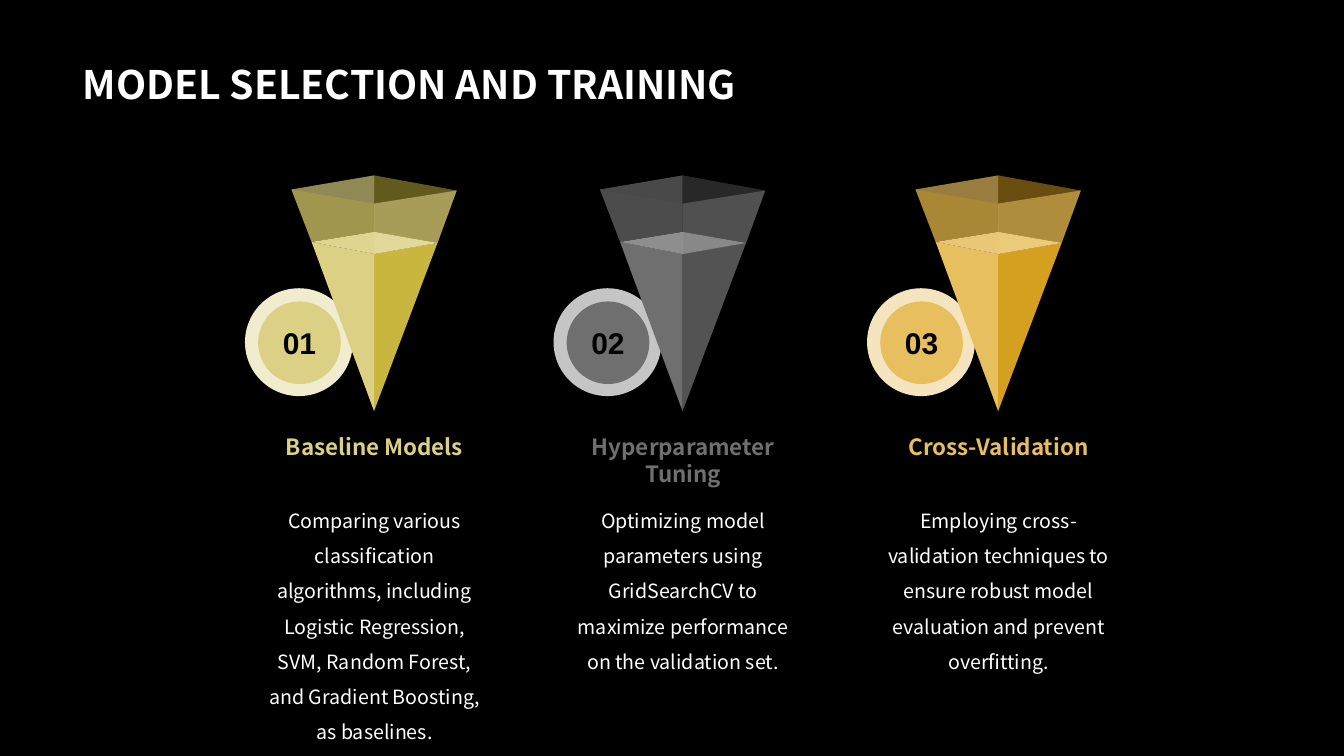
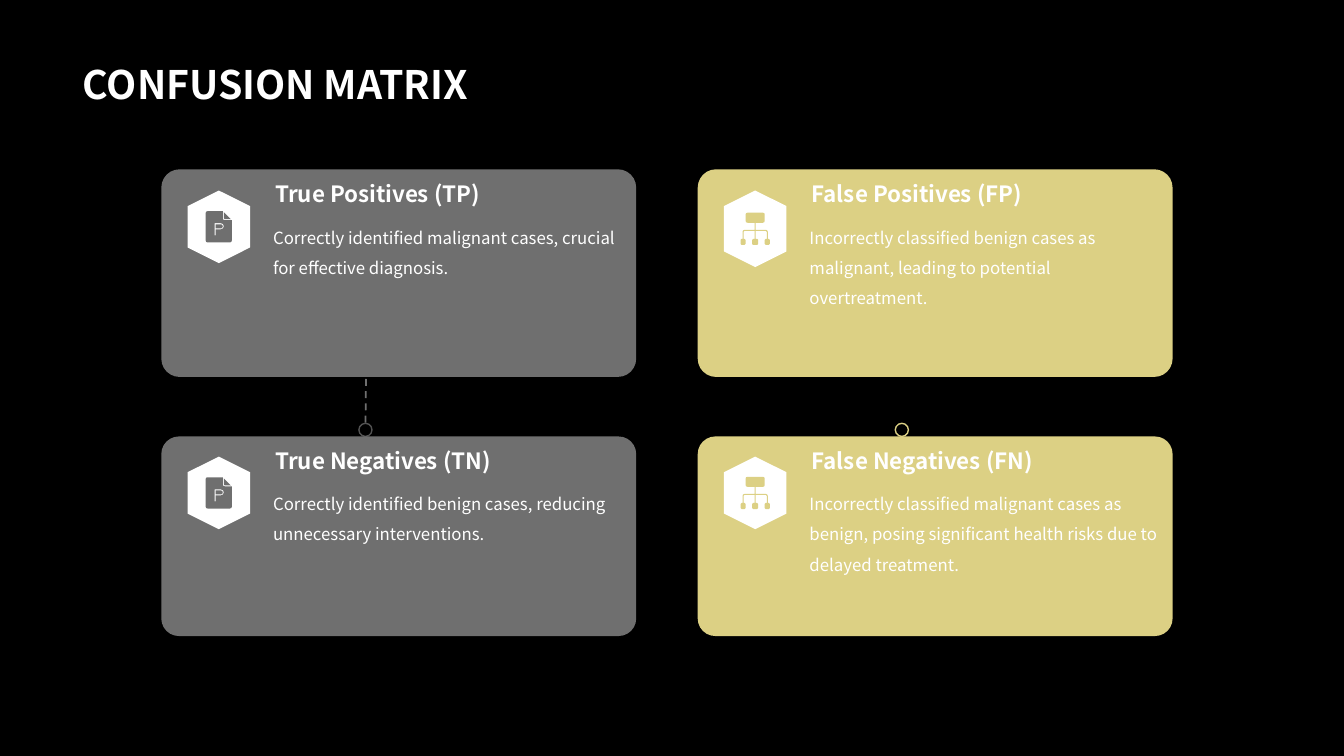
from dataclasses import dataclass

from lxml import etree
from pptx import Presentation
from pptx.dml.color import RGBColor
from pptx.enum.dml import MSO_LINE
from pptx.enum.shapes import MSO_CONNECTOR, MSO_SHAPE
from pptx.enum.text import MSO_ANCHOR, MSO_AUTO_SIZE, PP_ALIGN
from pptx.oxml.ns import qn
from pptx.util import Inches, Pt

ELLIPSE, HEXAGON, ROUNDED = MSO_SHAPE.OVAL, MSO_SHAPE.HEXAGON, MSO_SHAPE.ROUNDED_RECTANGLE
STRAIGHT, DASH = MSO_CONNECTOR.STRAIGHT, MSO_LINE.DASH
LEFT, CENTER = PP_ALIGN.LEFT, PP_ALIGN.CENTER
TOP, MIDDLE, BOTTOM = MSO_ANCHOR.TOP, MSO_ANCHOR.MIDDLE, MSO_ANCHOR.BOTTOM
NO_FIT, GROW = MSO_AUTO_SIZE.NONE, MSO_AUTO_SIZE.SHAPE_TO_FIT_TEXT
TITLE_ONLY = 5


@dataclass(frozen=True)
class Theme:
    font: str = "Noto Sans CJK SC"
    number_font: str = "Arial"
    black: str = "000000"
    white: str = "FFFFFF"
    sand: str = "DCD084"
    gray: str = "6F6F6F"
    ring_gray: str = "525252"
    title_size: float = 28
    number_size: float = 21.4
    heading_size: float = 16
    body_size: float = 14
    card_body_size: float = 12


THEME = Theme()

# Tones of each pyramid: light face, dark face, surface, badge ring
SAND_TONES = {"light": THEME.sand, "dark": "C9B63F", "surface": "EAE3B5", "ring": "F1ECCE"}
GRAY_TONES = {"light": THEME.gray, "dark": "535353", "surface": "A9A9A9", "ring": "C5C5C5"}
GOLD_TONES = {"light": "E7BF5F", "dark": "D59F20", "surface": "F1D99F", "ring": "F5E5BF"}

# Pyramid corners: x from the axis, y on the slide
TIP = (0, 4.08)
FILL_LEFT, FILL_RIGHT, FILL_BACK, FILL_FRONT = (-0.62, 2.4), (0.63, 2.41), (0, 2.3), (0, 2.52)
RIM_LEFT, RIM_RIGHT, RIM_BACK, RIM_FRONT = (-0.82, 1.88), (0.82, 1.89), (0, 1.74), (0, 2.02)
PYRAMID_FACES = [
    ("dark", 100, [FILL_RIGHT, TIP, FILL_FRONT]),
    ("light", 100, [TIP, FILL_LEFT, FILL_FRONT]),
    ("surface", 100, [FILL_RIGHT, FILL_FRONT, FILL_LEFT, FILL_BACK]),
    ("light", 66, [FILL_LEFT, RIM_LEFT, RIM_BACK, FILL_BACK]),
    ("dark", 49, [RIM_RIGHT, FILL_RIGHT, FILL_BACK, RIM_BACK]),
    ("light", 57, [RIM_RIGHT, FILL_RIGHT, FILL_FRONT, RIM_FRONT]),
    ("dark", 31, [FILL_FRONT, FILL_LEFT, RIM_LEFT, RIM_FRONT]),
]

# Steps: axis, badge left, tones, number, heading, body
STEPS = [
    (3.71, 2.43, SAND_TONES, "01", "Baseline Models",
     "Comparing various classification algorithms, including Logistic Regression, "
     "SVM, Random Forest, and Gradient Boosting, as baselines."),
    (6.77, 5.49, GRAY_TONES, "02", "Hyperparameter Tuning",
     "Optimizing model parameters using GridSearchCV to maximize performance "
     "on the validation set."),
    (9.9, 8.6, GOLD_TONES, "03", "Cross-Validation",
     "Employing cross-validation techniques to ensure robust model evaluation "
     "and prevent overfitting."),
]

# Icons: outlines in hundredths of an inch, with their size
DOCUMENT_ICON = (26, 31, [
    [(2, 0), (17, 0), (17, 7), (17.3, 8.3), (19, 9), (26, 9), (26, 29), (25.5, 30.5),
     (24, 31), (2, 31), (0.5, 30.5), (0, 29), (0, 2), (0.5, 0.5)],
    [(15, 12), (9, 12), (9, 24), (10, 24), (10, 18), (15, 18), (17.3, 17), (18, 15), (17.3, 12.8)],
    [(15, 13), (16.5, 13.6), (17, 15), (16.5, 16.4), (15, 17), (10, 17), (10, 13)],
    [(25, 8), (19, 8), (18, 7), (18, 1)],
])
TREE_HALF = [
    (22, 0), (23.5, 0.5), (24, 2), (24, 8), (23.5, 9.5), (22, 10), (15, 10), (15, 17),
    (25, 17), (26.5, 17.6), (27, 19), (27, 26), (28, 26), (29, 27), (29, 31), (28, 32),
    (25, 32), (24, 31), (24, 27), (25, 26), (26, 26), (26, 19), (25, 18), (15, 18),
    (15, 26), (16.5, 26), (17.5, 27), (17.5, 31), (16.5, 32),
]
TREE_ICON = (29, 32, [TREE_HALF + [(29 - x, y) for x, y in reversed(TREE_HALF)]])

# Cards: left, top, height, heading top, hexagon length, colour, icon, heading, body
GRAY_LEFT, SAND_LEFT, CARD_WIDTH = 1.6, 6.92, 4.71
UPPER_ROW, LOWER_ROW = (1.68, 2.06, 1.79), (4.33, 1.98, 4.43)
CARDS = [
    (GRAY_LEFT, *UPPER_ROW, 0.72, THEME.gray, DOCUMENT_ICON, "True Positives (TP)",
     "Correctly identified malignant cases, crucial for effective diagnosis."),
    (SAND_LEFT, *UPPER_ROW, 0.76, THEME.sand, TREE_ICON, "False Positives (FP)",
     "Incorrectly classified benign cases as malignant, leading to potential overtreatment."),
    (GRAY_LEFT, *LOWER_ROW, 0.72, THEME.gray, DOCUMENT_ICON, "True Negatives (TN)",
     "Correctly identified benign cases, reducing unnecessary interventions."),
    (SAND_LEFT, *LOWER_ROW, 0.72, THEME.sand, TREE_ICON, "False Negatives (FN)",
     "Incorrectly classified malignant cases as benign, posing significant health risks "
     "due to delayed treatment."),
]


def set_values(target, values):
    for name, value in values.items():
        setattr(target, name, value)


def write(shape, text, size, color, bold=False, font=THEME.font, align=LEFT, spacing=None, **frame):
    text_frame = shape.text_frame
    text_frame.text = text
    set_values(text_frame, {"word_wrap": True, "vertical_anchor": TOP, **frame})
    paragraph = text_frame.paragraphs[0]
    set_values(paragraph, {"alignment": align, "line_spacing": spacing})
    set_values(paragraph.font, {"name": font, "size": Pt(size), "bold": bold})
    paragraph.font.color.rgb = RGBColor.from_string(color)


def paint(shape, fill=None, alpha=100, line=None):
    shape.shadow.inherit = False
    if fill:
        shape.fill.solid()
        shape.fill.fore_color.rgb = RGBColor.from_string(fill)
    else:
        shape.fill.background()
    if alpha < 100:
        color = shape.fill._xPr.find(".//" + qn("a:srgbClr"))
        etree.SubElement(color, qn("a:alpha")).set("val", str(alpha * 1000))
    if line:
        shape.line.color.rgb = RGBColor.from_string(line)
        shape.line.width = Pt(1)
    else:
        shape.line.fill.background()
    return shape


def add_preset(slide, kind, left, top, width, height, **look):
    shape = slide.shapes.add_shape(kind, Inches(left), Inches(top), Inches(width), Inches(height))
    return paint(shape, **look)


def add_outline(slide, contours, **look):
    builder = None
    for contour in contours:
        start, *rest = [(Inches(x), Inches(y)) for x, y in contour]
        if builder is None:
            builder = slide.shapes.build_freeform(*start, scale=1.0)
        else:
            builder.move_to(*start)
        builder.add_line_segments(rest, close=True)
    return paint(builder.convert_to_shape(), **look)


def add_text(slide, left, top, width, height, text, size, color, **style):
    box = slide.shapes.add_textbox(Inches(left), Inches(top), Inches(width), Inches(height))
    write(box, text, size, color, auto_size=GROW, **style)


def add_dashed_line(slide, x, top, ring, color):
    line = slide.shapes.add_connector(STRAIGHT, Inches(x), Inches(top), Inches(x), ring.top)
    line.end_connect(ring, 0)
    line.line.color.rgb = RGBColor.from_string(color)
    set_values(line.line, {"width": Pt(1.25), "dash_style": DASH})
    etree.SubElement(line._element.spPr, qn("a:effectLst"))


def add_titled_slide(prs, title):
    slide = prs.slides.add_slide(prs.slide_layouts[TITLE_ONLY])
    place = {"left": Inches(0.72), "top": Inches(0), "width": Inches(11.88), "height": Inches(1.12)}
    set_values(slide.shapes.title, place)
    write(slide.shapes.title, title, THEME.title_size, THEME.white, bold=True, spacing=0.9,
          vertical_anchor=BOTTOM, auto_size=NO_FIT)
    return slide


def add_step(slide, axis, badge_left, tones, number, heading, body):
    # Numbered badge
    add_preset(slide, ELLIPSE, badge_left, 2.86, 1.07, 1.07, fill=tones["ring"])
    disc = add_preset(slide, ELLIPSE, badge_left + 0.13, 2.99, 0.82, 0.82, fill=tones["light"])
    write(disc, number, THEME.number_size, THEME.black, bold=True, font=THEME.number_font,
          align=CENTER, vertical_anchor=MIDDLE, word_wrap=False)
    # Pyramid
    for tone, alpha, corners in PYRAMID_FACES:
        add_outline(slide, [[(axis + x, y) for x, y in corners]], fill=tones[tone], alpha=alpha)
    # Heading and body
    margins = dict.fromkeys(("margin_left", "margin_top", "margin_right", "margin_bottom"), 0)
    left = axis - 1.12
    add_text(slide, left, 4.3, 2.25, 0.27, heading, THEME.heading_size, tones["light"],
             bold=True, align=CENTER, **margins)
    add_text(slide, left, 4.93, 2.25, 1.73, body, THEME.body_size, THEME.white,
             align=CENTER, spacing=1.5, **margins)


def add_card(slide, left, top, height, heading_top, hexagon_length, color, icon, heading, body):
    card = add_preset(slide, ROUNDED, left, top, CARD_WIDTH, height, fill=color)
    card.adjustments[0] = 0.088
    # Hexagon with its icon
    center_x, center_y = left + 0.57, heading_top + 0.1 + hexagon_length / 2
    hexagon = add_preset(slide, HEXAGON, center_x - hexagon_length / 2, center_y - 0.31,
                         hexagon_length, 0.62, fill=THEME.white)
    hexagon.rotation = 90
    icon_width, icon_height, contours = icon
    icon_left, icon_top = center_x - icon_width / 200, center_y - icon_height / 200
    add_outline(slide, [[(icon_left + x / 100, icon_top + y / 100) for x, y in contour]
                        for contour in contours], fill=color)
    # Heading and body
    text_left = left + 1.01
    add_text(slide, text_left, heading_top, 3.71, 0.27, heading, THEME.heading_size, THEME.white,
             bold=True, vertical_anchor=MIDDLE, margin_left=Inches(0.12),
             margin_right=Inches(0.12), margin_top=0, margin_bottom=0)
    add_text(slide, text_left, heading_top + 0.32, 3.71, 0.97, body, THEME.card_body_size,
             THEME.white, spacing=1.5)


def build_training(prs):
    slide = add_titled_slide(prs, "MODEL SELECTION AND TRAINING")
    for step in STEPS:
        add_step(slide, *step)


def build_confusion_matrix(prs):
    slide = add_titled_slide(prs, "CONFUSION MATRIX")
    # Rings between the rows
    gray_ring, _ = [add_preset(slide, ELLIPSE, left, 4.2, 0.13, 0.13, line=color)
                    for left, color in ((3.56, THEME.ring_gray), (8.88, THEME.sand))]
    add_dashed_line(slide, 3.63, 3.76, gray_ring, THEME.gray)
    for card in CARDS:
        add_card(slide, *card)


def main():
    prs = Presentation()
    set_values(prs, {"slide_width": Inches(13.33), "slide_height": Inches(7.5)})
    background = prs.slide_master.background.fill
    background.solid()
    background.fore_color.rgb = RGBColor.from_string(THEME.black)
    build_training(prs)
    build_confusion_matrix(prs)
    prs.save("out.pptx")


if __name__ == "__main__":
    main()
